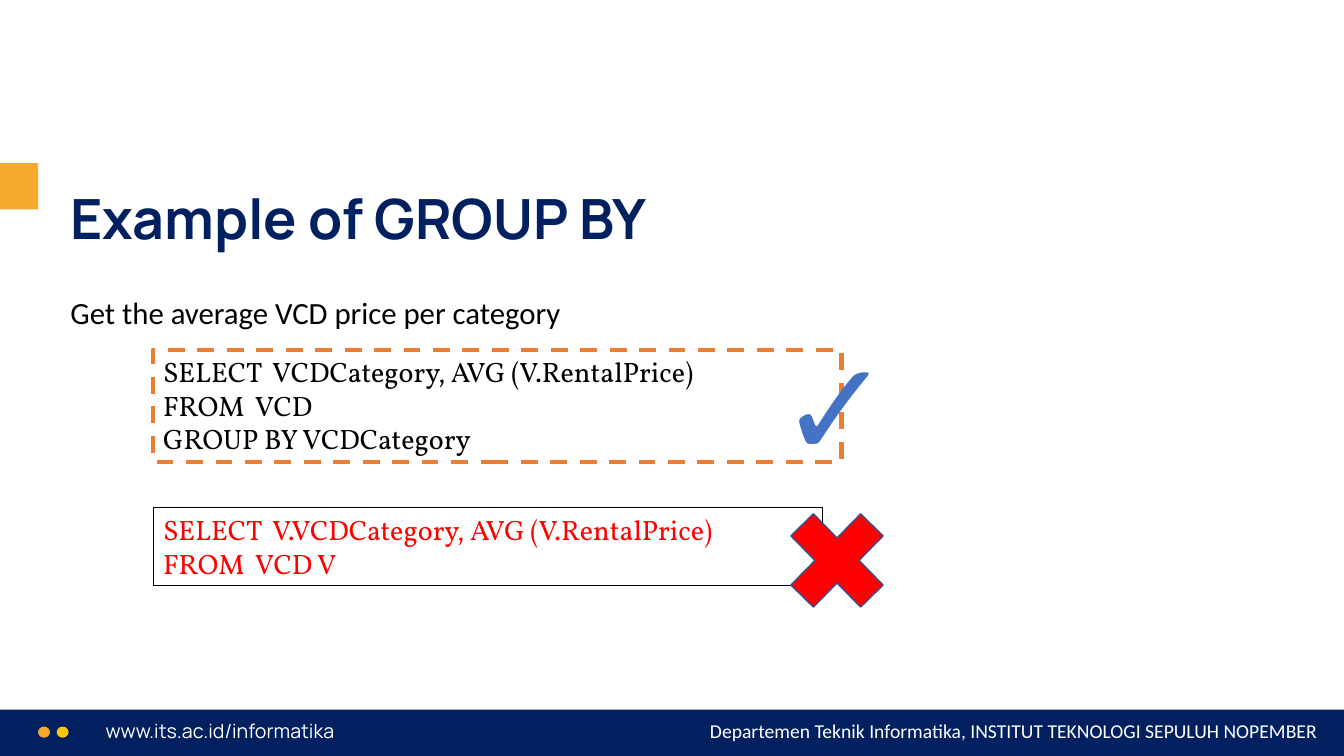
from pptx import Presentation
from pptx import util as u
from pptx.dml.color import RGBColor
from pptx.enum import dml, shapes, text

NAVY, AMBER, YELLOW = "002060", "F5AA2D", "FFC411"
ORANGE, RED, BLUE = "ED7D31", "FF0000", "4472C4"
BLACK, WHITE = "000000", "FFFFFF"
KIND = shapes.MSO_SHAPE
ALIGN = text.PP_ALIGN


def color(value):
    return RGBColor.from_string(value)


def place(area):
    return [u.Pt(length) for length in area]


def add_figure(page, kind, area, fill=None, line=None, weight=1, dash=None):
    figure = page.shapes.add_shape(kind, *place(area))
    figure.shadow.inherit = False
    if fill:
        figure.fill.solid()
        figure.fill.fore_color.rgb = color(fill)
    else:
        figure.fill.background()
    if line:
        figure.line.color.rgb = color(line)
        figure.line.width = u.Pt(weight)
        figure.line.dash_style = dash
    else:
        figure.line.fill.background()
    return figure


def write(box, lines, size, font="Calibri", ink=BLACK, bold=False,
          align=ALIGN.LEFT, anchor=text.MSO_ANCHOR.TOP, spacing=None):
    """Fill a shape or text box with one paragraph per line."""
    frame = box.text_frame
    frame.word_wrap = True
    frame.vertical_anchor = anchor
    for index, line in enumerate(lines):
        para = frame.add_paragraph() if index else frame.paragraphs[0]
        para.alignment = align
        para.line_spacing = spacing
        span = para.add_run()
        span.text = line
        span.font.size = u.Pt(size)
        span.font.name = font
        span.font.bold = bold
        span.font.color.rgb = color(ink)


def add_label(page, area, label, size, **style):
    write(page.shapes.add_textbox(*place(area)), [label], size, **style)


def add_query(page, area, lines, ink, **outline):
    box = add_figure(page, KIND.RECTANGLE, area, **outline)
    write(box, lines, 20, font="Vollkorn", ink=ink)


def add_footer(page):
    add_figure(page, KIND.RECTANGLE, (-11.5, 506.9, 983, 33.1), fill=NAVY)
    add_label(page, (68.4, 509.8, 308, 24.5), "www.its.ac.id/informatika", 14,
              font="Manrope", ink=WHITE)
    for left, fill in ((27.2, AMBER), (40.5, YELLOW)):
        add_figure(page, KIND.OVAL, (left, 519, 8.5, 8), fill=fill)
    add_label(page, (425.5, 509.8, 522.7, 24.5),
              "Departemen Teknik Informatika, INSTITUT TEKNOLOGI SEPULUH NOPEMBER",
              14, ink=WHITE, align=ALIGN.RIGHT)


def main():
    deck = Presentation()
    deck.slide_width, deck.slide_height = u.Pt(960), u.Pt(540)
    page = deck.slides.add_slide(deck.slide_layouts[6])

    add_footer(page)
    add_figure(page, KIND.RECTANGLE, (0, 116.6, 27.2, 33.1), fill=AMBER)
    add_label(page, (43.2, 130.3, 797.8, 52.6), "Example of GROUP BY", 39.6,
              font="Manrope", ink=NAVY, bold=True,
              anchor=text.MSO_ANCHOR.BOTTOM, spacing=0.9)
    add_label(page, (43.2, 206, 860.4, 33.8),
              "Get the average VCD price per category", 22, align=ALIGN.JUSTIFY)

    add_query(page, (109.4, 249.8, 491.8, 80),
              ["SELECT  VCDCategory, AVG (V.RentalPrice)", "FROM  VCD",
               "GROUP BY VCDCategory"],
              BLACK, line=ORANGE, weight=3, dash=dml.MSO_LINE.DASH)
    add_query(page, (109.4, 362.5, 478.1, 55.7),
              ["SELECT  V.VCDCategory, AVG (V.RentalPrice)", "FROM  VCD V"],
              RED, line=BLACK, weight=0.75)
    add_figure(page, KIND.MATH_MULTIPLY, (550, 351.4, 95.8, 97.9),
               fill=RED, line="325491")
    add_label(page, (550, 227.5, 95.8, 123.8), "✓", 96, ink=BLUE)

    deck.save("out.pptx")


if __name__ == "__main__":
    main()
